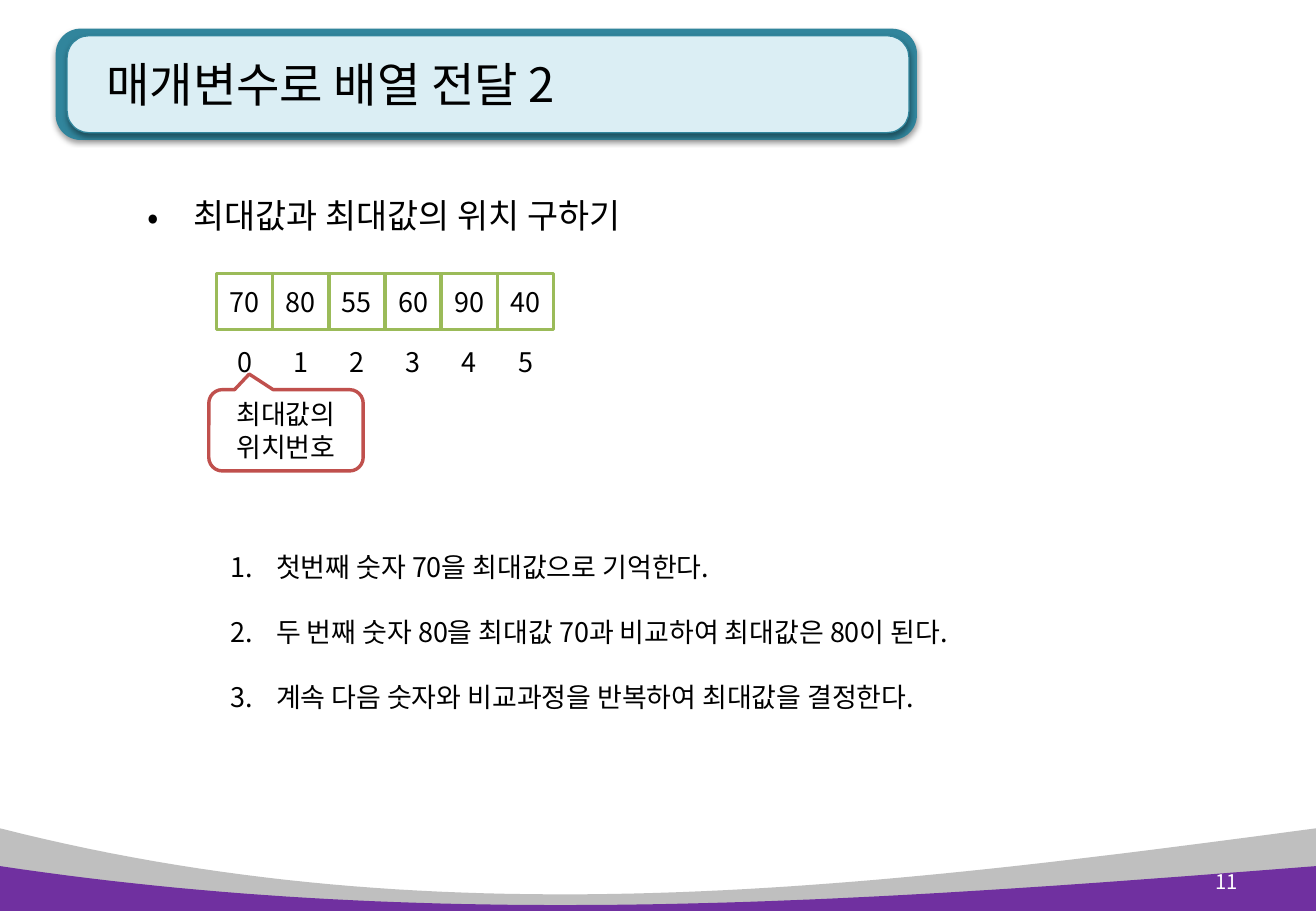
import pptx
import pptx.dml.color
import pptx.enum.shapes
import pptx.enum.text
import pptx.oxml.ns
import pptx.util
from lxml import etree

Pt = pptx.util.Pt
qn = pptx.oxml.ns.qn
SHAPE = pptx.enum.shapes.MSO_SHAPE
ALIGN = pptx.enum.text.PP_ALIGN
ANCHOR = pptx.enum.text.MSO_ANCHOR

FONT = "Noto Sans CJK KR"
COLORS = {
    "text": "000000", "white": "FFFFFF", "gray": "BFBFBF", "purple": "7030A0",
    "teal": "31859C", "pale": "DBEEF4", "green": "9BBB59", "red": "C0504D",
}
SLIDE_W, SLIDE_H = 780, 540
CELL = 33.3
ARRAY_LEFT, ARRAY_TOP, INDEX_TOP = 128.3, 162, 198
VALUES = [70, 80, 55, 60, 90, 40]
STEPS = [
    "첫번째 숫자 70을 최대값으로 기억한다.",
    "두 번째 숫자 80을 최대값 70과 비교하여 최대값은 80이 된다.",
    "계속 다음 숫자와 비교과정을 반복하여 최대값을 결정한다.",
]


def rgb(name):
    return pptx.dml.color.RGBColor.from_string(COLORS[name])


def paint(sp, fill, line=None, weight=2):
    sp.shadow.inherit = False
    sp.fill.solid()
    sp.fill.fore_color.rgb = rgb(fill)
    if line:
        sp.line.color.rgb = rgb(line)
        sp.line.width = Pt(weight)
    else:
        sp.line.fill.background()


def add_box(slide, kind, box, fill, line=None, weight=2, adj=()):
    sp = slide.shapes.add_shape(kind, *map(Pt, box))
    paint(sp, fill, line, weight)
    for i, value in enumerate(adj):
        sp.adjustments[i] = value
    return sp


def add_text_box(slide, box):
    return slide.shapes.add_textbox(*map(Pt, box))


def add_shadow(sp):
    effects = sp._element.spPr.find(qn("a:effectLst"))
    shadow = etree.SubElement(effects, qn("a:outerShdw"), blurRad=str(Pt(3.1)),
                              dist=str(Pt(1.6)), dir="5400000", rotWithShape="0")
    color = etree.SubElement(shadow, qn("a:srgbClr"), val=COLORS["text"])
    etree.SubElement(color, qn("a:alpha"), val="38000")


def set_text(sp, *lines, size=16, color="text", align=ALIGN.LEFT,
             anchor=ANCHOR.MIDDLE, spacing=1.0, bullet=None, margin=None):
    tf = sp.text_frame
    tf.word_wrap = True
    tf.vertical_anchor = anchor
    if margin is not None:
        tf.margin_left = tf.margin_right = Pt(margin)
    for i, line in enumerate(lines):
        p = tf.add_paragraph() if i else tf.paragraphs[0]
        p.alignment = align
        p.line_spacing = spacing
        if bullet:
            add_bullet(p, *bullet)
        r = p.add_run()
        r.text = line
        r.font.size = Pt(size)
        r.font.name = FONT
        r.font.color.rgb = rgb(color)
        etree.SubElement(r.font._element, qn("a:ea"), typeface=FONT)


def add_bullet(p, tag, attribute, value):
    pPr = p._p.get_or_add_pPr()
    pPr.set("marL", str(Pt(27)))
    pPr.set("indent", str(-Pt(27)))
    etree.SubElement(pPr, qn("a:buFont"), typeface=FONT)
    etree.SubElement(pPr, qn(tag), {attribute: value})


def add_wave(slide, heights, fill, steps=60):
    """Fill the area between a cubic curve and the bottom of the slide."""
    def bezier(t, a, b, c, d):
        u = 1 - t
        return Pt(u**3 * a + 3 * u * u * t * b + 3 * u * t * t * c + t**3 * d)

    points = [(bezier(i / steps, 0, 263, 518, SLIDE_W), bezier(i / steps, *heights))
              for i in range(steps + 1)]
    points += [(Pt(SLIDE_W), Pt(SLIDE_H)), (0, Pt(SLIDE_H))]
    builder = slide.shapes.build_freeform(*points[0])
    builder.add_line_segments(points[1:], close=True)
    paint(builder.convert_to_shape(), fill)


def add_row(slide, values, top, line=None):
    for i, value in enumerate(values):
        sp = add_box(slide, SHAPE.RECTANGLE,
                     (ARRAY_LEFT + i * CELL, top, CELL, CELL), "white", line)
        set_text(sp, str(value), align=ALIGN.CENTER, margin=0)


def main():
    prs = pptx.Presentation()
    prs.slide_width, prs.slide_height = Pt(SLIDE_W), Pt(SLIDE_H)
    slide = prs.slides.add_slide(prs.slide_layouts[6])

    # Footer waves and title plate
    add_wave(slide, (491, 558, 526, 491), "gray")
    add_shadow(add_box(slide, SHAPE.ROUNDED_RECTANGLE, (33, 17, 510.5, 66),
                       "teal", adj=[0.225]))
    add_shadow(add_box(slide, SHAPE.ROUNDED_RECTANGLE, (39.8, 21.2, 499, 57.5),
                       "pale", "teal", 0.75, [0.225]))
    add_wave(slide, (513.4, 553, 534, 513.4), "purple")

    # Title and page number
    set_text(add_text_box(slide, (49.7, 16, 488, 67.7)), " 매개변수로 배열 전달 2", size=28)
    set_text(add_text_box(slide, (697, 508.3, 44, 28.8)), "11", size=12,
             color="white", align=ALIGN.RIGHT)

    # Topic
    topic = add_box(slide, SHAPE.RECTANGLE, (80.6, 100, 428.4, 44), "white")
    set_text(topic, "최대값과 최대값의 위치 구하기", size=20, anchor=ANCHOR.TOP,
             spacing=1.5, bullet=("a:buChar", "char", "•"))

    # Array values with their indexes
    add_row(slide, VALUES, ARRAY_TOP, "green")
    add_row(slide, range(len(VALUES)), INDEX_TOP)

    # Callout
    callout = add_box(slide, SHAPE.ROUNDED_RECTANGULAR_CALLOUT, (123.8, 231, 91.5, 48.2),
                      "white", "red", adj=[-0.238, -0.692, 0.167])
    set_text(callout, "최대값의 위치번호", align=ALIGN.CENTER)

    # Steps
    set_text(add_text_box(slide, (129.6, 303.8, 489.6, 123.8)), *STEPS,
             anchor=ANCHOR.TOP, spacing=2.0,
             bullet=("a:buAutoNum", "type", "arabicPeriod"))

    prs.save("out.pptx")


if __name__ == "__main__":
    main()
